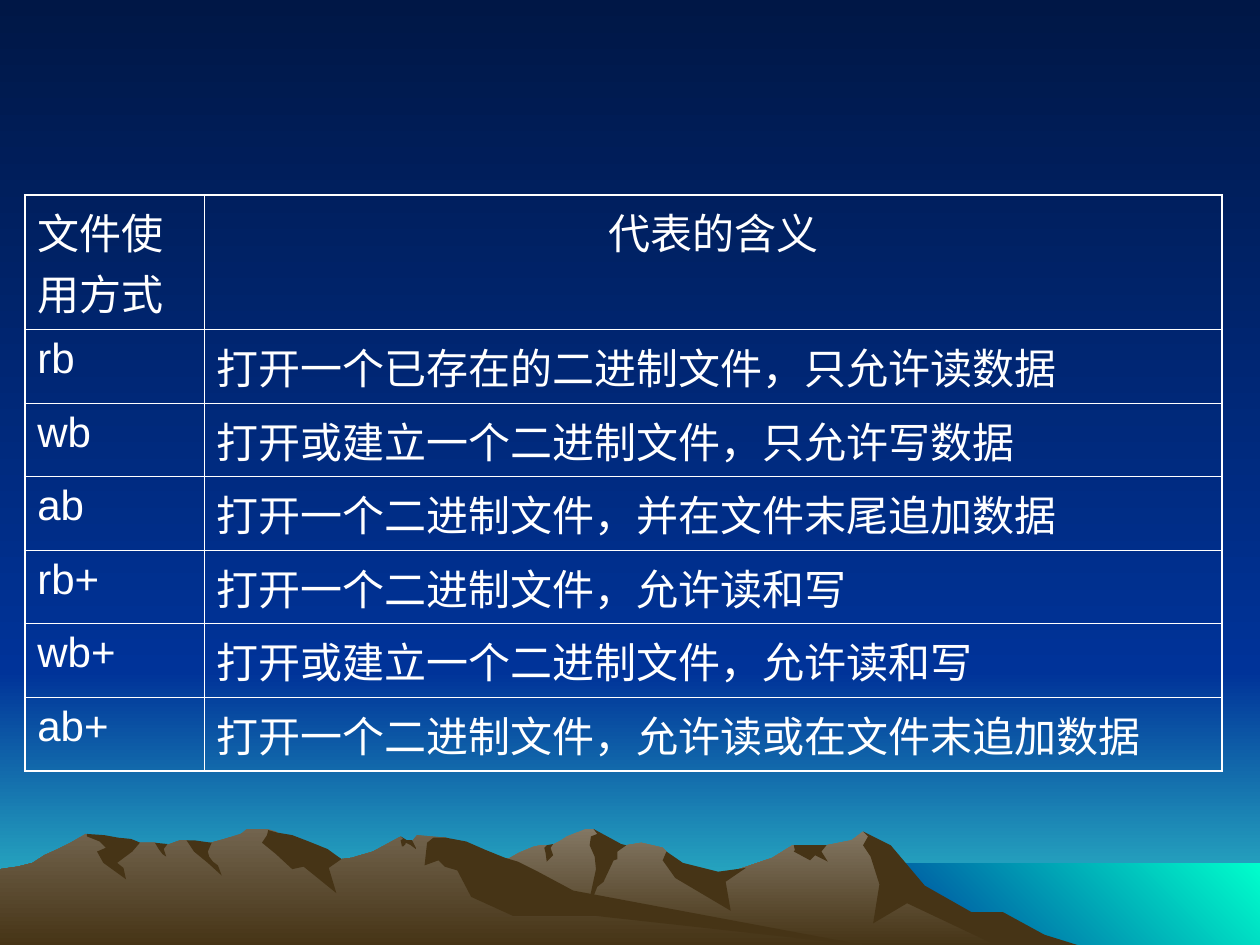
from lxml import etree
from pptx import Presentation
from pptx.dml.color import RGBColor
from pptx.enum.shapes import MSO_SHAPE
from pptx.enum.text import PP_ALIGN
from pptx.oxml.ns import qn
from pptx.util import Cm, Pt

RECTANGLE = MSO_SHAPE.RECTANGLE
CENTER = PP_ALIGN.CENTER

WHITE = RGBColor(0xFF, 0xFF, 0xFF)
NIGHT = RGBColor(0x00, 0x17, 0x46)
BLUE = RGBColor(0x00, 0x33, 0x99)
HORIZON = RGBColor(0x33, 0xCC, 0xCC)
SEA_GREEN = RGBColor(0x00, 0xFF, 0xCC)
ROCK_LIGHT = RGBColor(0x83, 0x77, 0x63)
ROCK_MID = RGBColor(0x72, 0x64, 0x4E)
ROCK_DARK = RGBColor(0x46, 0x34, 0x16)

SLIDE_WIDTH, SLIDE_HEIGHT = 25.4, 19.05
DOWN, DOWN_LEFT = 270, 225
OUTLINE_UNIT = Cm(0.0254)  # one unit of the mountain outlines
THIN, THICK = Pt(0.45), Pt(1.08)

# Mountain outlines, measured from the top left of the mountain box
RIGHT_RANGE = [
    (802, 82), (778, 69), (764, 65), (723, 40), (702, 13), (685, 2), (676, 9),
    (656, 13), (629, 13), (613, 23), (566, 39), (536, 32), (529, 18), (526, 15),
    (509, 11), (497, 13), (486, 15), (474, 3), (471, 0), (465, 0), (450, 6),
    (444, 10), (438, 13), (430, 13), (424, 14), (412, 19), (405, 23), (394, 27),
    (355, 40), (327, 51), (277, 81), (258, 93), (821, 93)]
LEFT_RANGE = [
    (690, 93), (667, 90), (432, 54), (354, 7), (331, 5), (327, 10), (323, 10),
    (318, 6), (296, 18), (279, 23), (271, 24), (260, 18), (236, 23), (223, 5),
    (219, 2), (212, 0), (196, 0), (191, 4), (178, 8), (160, 13), (148, 9),
    (143, 9), (132, 13), (128, 13), (123, 11), (111, 11), (94, 13), (68, 4),
    (56, 11), (46, 16), (35, 21), (26, 27), (14, 30), (0, 32), (0, 93)]
RIGHT_FOLDS = [
    [(796, 66), (771, 66), (734, 45), (707, 13), (685, 2), (689, 6), (685, 13),
     (691, 22), (698, 44), (693, 75), (720, 59), (792, 93), (858, 93), (829, 84)],
    [(471, 0), (474, 4), (469, 6), (468, 13), (472, 22), (473, 32), (465, 69),
     (474, 46), (479, 42), (487, 25), (490, 24), (490, 18), (497, 13), (493, 12)],
    [(529, 18), (526, 25), (536, 39), (580, 65), (576, 42), (592, 31), (570, 34),
     (542, 27)],
    [(650, 13), (630, 13), (631, 17), (630, 18), (643, 25), (647, 21), (657, 26),
     (652, 18), (656, 13)],
    [(433, 19), (432, 15), (434, 13), (439, 12), (437, 15), (439, 21), (434, 26)],
]
LEFT_FOLDS = [
    [(212, 5), (208, 11), (219, 20), (232, 32), (241, 30), (267, 51), (261, 31),
     (271, 24), (260, 16), (245, 10), (232, 5), (220, 3), (213, 1)],
    [(370, 10), (354, 7), (344, 7), (339, 11), (337, 29), (348, 25), (353, 30),
     (363, 33), (374, 54), (407, 69), (472, 69), (690, 93), (455, 49), (427, 34),
     (411, 26), (401, 23), (386, 17)],
    [(318, 9), (320, 8), (318, 6), (323, 9), (327, 9), (330, 15), (330, 16),
     (326, 13), (322, 11), (322, 12), (320, 14), (319, 14)],
    [(154, 9), (161, 10), (168, 11), (165, 18), (166, 22), (169, 26), (173, 29),
     (176, 37), (165, 27), (154, 18), (148, 9)],
    [(133, 12), (130, 16), (132, 22), (129, 20), (126, 16), (123, 11)],
    [(109, 10), (111, 11), (105, 18), (93, 27), (98, 31), (100, 40), (82, 27),
     (77, 18), (84, 15), (79, 10), (69, 6), (69, 4), (83, 5), (94, 7), (104, 8)],
]

FILE_MODES = [
    ("文件使用方式", "代表的含义"),
    ("rb", "打开一个已存在的二进制文件，只允许读数据"),
    ("wb", "打开或建立一个二进制文件，只允许写数据"),
    ("ab", "打开一个二进制文件，并在文件末尾追加数据"),
    ("rb+", "打开一个二进制文件，允许读和写"),
    ("wb+", "打开或建立一个二进制文件，允许读和写"),
    ("ab+", "打开一个二进制文件，允许读或在文件末追加数据"),
]
ROW_HEIGHTS = [2.59, 1.27, 1.27, 1.27, 1.35, 1.32, 1.27]
COLUMN_SHARES = [0.15, 0.85]


def paint_gradient(fill, first, last, angle=DOWN):
    fill.gradient()
    fill.gradient_angle = angle
    for stop, color in zip(fill.gradient_stops, (first, last)):
        stop.color.rgb = color


def make_plain(shape):
    shape.shadow.inherit = False
    shape.line.fill.background()


def add_band(slide, left, top, width, height, first, last, angle=DOWN):
    band = slide.shapes.add_shape(
        RECTANGLE, Cm(left), Cm(top), Cm(width), Cm(height))
    make_plain(band)
    paint_gradient(band.fill, first, last, angle)


def add_outline(slide, left, top, points):
    builder = slide.shapes.build_freeform(*points[0], scale=OUTLINE_UNIT)
    builder.add_line_segments(points[1:], close=True)
    outline = builder.convert_to_shape(Cm(left), Cm(top))
    make_plain(outline)
    return outline


def add_sky(slide, left, top, width, height):
    horizon = 13.54
    add_band(slide, left, top + horizon, width, height - horizon, BLUE, HORIZON)
    add_band(slide, left, top, width, horizon, NIGHT, BLUE)


def add_mountains(slide, left, top):
    ranges = [(RIGHT_RANGE, ROCK_LIGHT, RIGHT_FOLDS),
              (LEFT_RANGE, ROCK_MID, LEFT_FOLDS)]
    for ridge, light, folds in ranges:
        paint_gradient(add_outline(slide, left, top, ridge).fill, light, ROCK_DARK)
        for points in folds:
            fold = add_outline(slide, left, top, points)
            fold.fill.solid()
            fold.fill.fore_color.rgb = ROCK_DARK


def set_borders(cell, widths):
    properties = cell._tc.get_or_add_tcPr()
    for position, (side, width) in enumerate(widths.items()):
        line = etree.Element(qn(f"a:ln{side}"), w=str(width))
        fill = etree.SubElement(line, qn("a:solidFill"))
        etree.SubElement(fill, qn("a:srgbClr"), val=str(WHITE))
        properties.insert(position, line)


def add_mode_table(slide, left, top, width):
    last_row, last_column = len(FILE_MODES) - 1, len(COLUMN_SHARES) - 1
    table = slide.shapes.add_table(
        len(FILE_MODES), len(COLUMN_SHARES), Cm(left), Cm(top),
        Cm(width), Cm(sum(ROW_HEIGHTS))).table
    table.first_row = table.horz_banding = False
    for column, share in zip(table.columns, COLUMN_SHARES):
        column.width = Cm(width * share)
    for row, height in zip(table.rows, ROW_HEIGHTS):
        row.height = Cm(height)

    for row, texts in enumerate(FILE_MODES):
        for column, text in enumerate(texts):
            cell = table.cell(row, column)
            cell.text = text
            cell.fill.background()
            paragraph = cell.text_frame.paragraphs[0]
            paragraph.space_before = Pt(6)
            paragraph.font.name = "Arial"
            paragraph.font.size = Pt(24)
            paragraph.font.color.rgb = WHITE
            # The outer frame is thicker than the inner grid
            set_borders(cell, {
                "L": THICK if column == 0 else THIN,
                "R": THICK if column == last_column else THIN,
                "T": THICK if row == 0 else THIN,
                "B": THICK if row == last_row else THIN})
    table.cell(0, 1).text_frame.paragraphs[0].alignment = CENTER


def main():
    presentation = Presentation()
    presentation.slide_width = Cm(SLIDE_WIDTH)
    presentation.slide_height = Cm(SLIDE_HEIGHT)
    slide = presentation.slides.add_slide(presentation.slide_layouts[6])
    paint_gradient(slide.background.fill, NIGHT, BLUE)

    # Scenery
    add_sky(slide, 0, 0, SLIDE_WIDTH, SLIDE_HEIGHT)
    add_band(slide, 17.35, 17.4, 8.05, 1.65, SEA_GREEN, BLUE, DOWN_LEFT)
    add_mountains(slide, 0, 16.71)

    # File modes
    add_mode_table(slide, 0.5, 3.93, 24.13)
    presentation.save("out.pptx")


if __name__ == "__main__":
    main()
